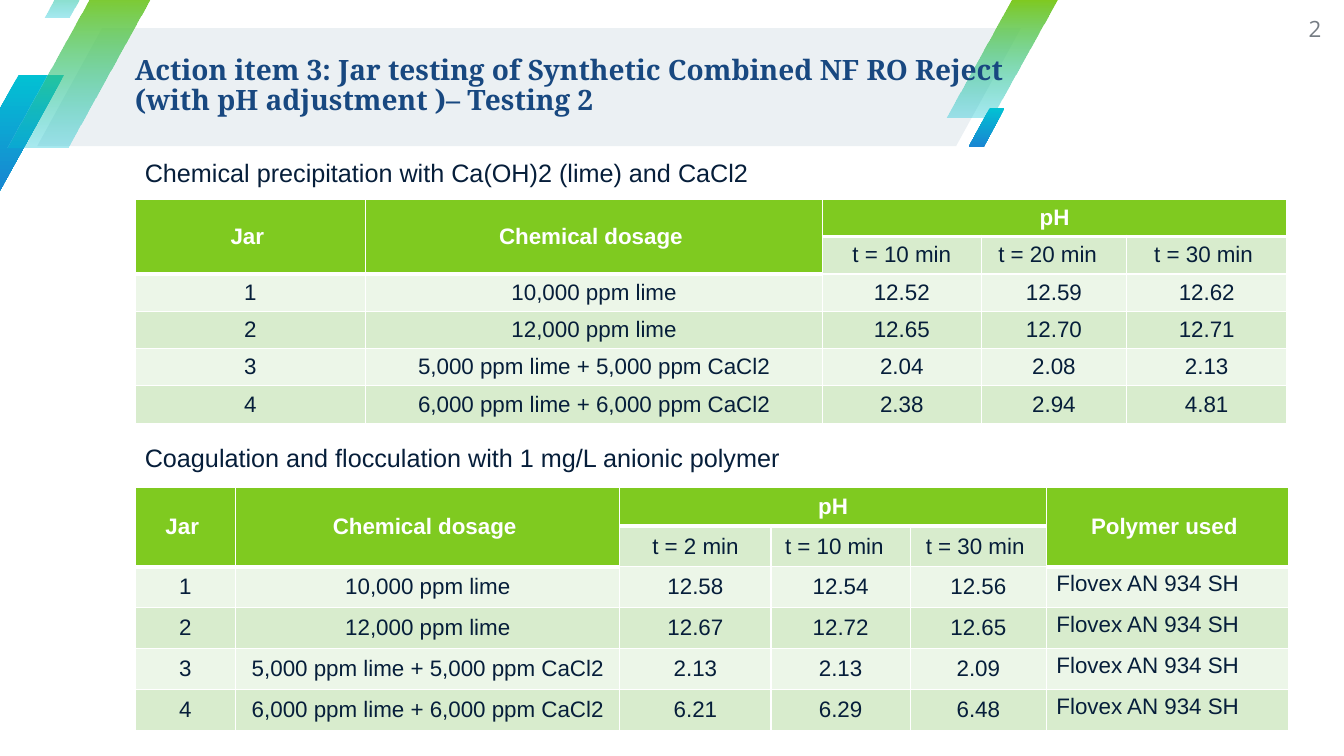
from lxml.etree import SubElement as Sub
from pptx import Presentation
from pptx.dml.color import RGBColor
from pptx.enum.shapes import MSO_SHAPE as Shape
from pptx.enum.text import MSO_ANCHOR as Anchor, PP_ALIGN as Align
from pptx.oxml.ns import qn
from pptx.util import Cm, Pt

GREEN = RGBColor(0x7F, 0xCA, 0x20)
CYAN = RGBColor(0x02, 0xC1, 0xD3)
BLUE = RGBColor(0x19, 0x85, 0xD2)
PALE = RGBColor(0xEB, 0xF0, 0xF3)
NAVY = RGBColor(0x18, 0x48, 0x80)
INK = RGBColor(0x06, 0x1E, 0x3A)
GRAY = RGBColor(0x75, 0x7C, 0x83)
WHITE = RGBColor(0xFF, 0xFF, 0xFF)
DARK = RGBColor(0xD8, 0xEC, 0xCD)
LIGHT = RGBColor(0xEC, 0xF6, 0xE8)

TITLE = "Action item 3: Jar testing of Synthetic Combined NF RO Reject (with pH adjustment )– Testing 2"
PAGE = "2"
LEFT = 3.4
PAD = 0.16
INSET = 0.25

BANDS = [
    (0.94, 0.71, 24.79, 2.97, 0.55, (PALE,)),
    (-1.17, 1.88, 2.79, 2.97, 0.59, (CYAN, BLUE)),
    (23.85, 0, 2.79, 2.97, 0.59, (GREEN, CYAN)),
    (0.2, -0.25, 3.71, 3.96, 0.59, (GREEN, CYAN)),
    (1.12, -1.22, 1.55, 1.65, 0.59, (GREEN, CYAN)),
    (24.41, 2.72, 0.91, 0.99, 0.59, (CYAN, BLUE)),
]

DOSES = [
    "10,000 ppm lime",
    "12,000 ppm lime",
    "5,000 ppm lime + 5,000 ppm CaCl2",
    "6,000 ppm lime + 6,000 ppm CaCl2",
]
POLYMER = "Flovex AN 934 SH"

TESTS = [
    dict(
        label="Chemical precipitation with Ca(OH)2 (lime) and CaCl2",
        label_top=3.84, top=5.03, first=0.9, rest=0.94,
        cols=[(5.82, "Jar", None, 1), (11.5, "Chemical dosage", None, 1),
              (4.01, "pH", "t = 10 min", 0), (3.66, "", "t = 20 min", 2),
              (4.04, "", "t = 30 min", 1)],
        values=[("12.52", "12.59", "12.62"), ("12.65", "12.70", "12.71"),
                ("2.04", "2.08", "2.13"), ("2.38", "2.94", "4.81")],
    ),
    dict(
        label="Coagulation and flocculation with 1 mg/L anionic polymer",
        label_top=11.02, top=12.27, first=0.98, rest=1.03,
        cols=[(2.54, "Jar", None, 1), (9.68, "Chemical dosage", None, 1),
              (3.81, "pH", "t = 2 min", 0), (3.51, "", "t = 10 min", 2),
              (3.43, "", "t = 30 min", 1), (6.1, "Polymer used", None, 1)],
        values=[("12.58", "12.54", "12.56", POLYMER), ("12.67", "12.72", "12.65", POLYMER),
                ("2.13", "2.13", "2.09", POLYMER), ("6.21", "6.29", "6.48", POLYMER)],
    ),
]


def write(frame, text, font="Arial", size=16, color=INK, bold=False, align=Align.LEFT, space=None):
    para = frame.paragraphs[0]
    para.alignment = align
    para.line_spacing = space
    run = para.add_run()
    run.text = text
    run.font.name = font
    run.font.size = Pt(size)
    run.font.bold = bold
    run.font.color.rgb = color


def add_box(slide, left, top, width, height, inset=True):
    box = slide.shapes.add_textbox(Cm(left), Cm(top), Cm(width), Cm(height))
    frame = box.text_frame
    frame.word_wrap = True
    if not inset:
        frame.margin_left = frame.margin_right = frame.margin_top = frame.margin_bottom = 0
        frame.vertical_anchor = Anchor.MIDDLE
    return frame


def add_band(slide, left, top, width, height, slant, colors):
    band = slide.shapes.add_shape(Shape.PARALLELOGRAM, Cm(left), Cm(top), Cm(width), Cm(height))
    band.adjustments[0] = slant
    band.shadow.inherit = False
    band.line.fill.background()
    if len(colors) == 1:
        band.fill.solid()
        band.fill.fore_color.rgb = colors[0]
        return
    band.fill.gradient()
    band.fill.gradient_angle = 270
    for stop, color in zip(band.fill.gradient_stops, colors):
        stop.color.rgb = color
    if colors[1] == CYAN:
        tint = band._element.spPr.findall(".//" + qn("a:srgbClr"))[-1]
        Sub(tint, qn("a:alpha"), val="34000")


def paint(cell, color, thick=""):
    props = cell._tc.get_or_add_tcPr()
    for side in "LRTB":
        line = Sub(props, qn("a:ln" + side), w=str(Pt(3 if side in thick else 1)))
        Sub(Sub(line, qn("a:solidFill")), qn("a:srgbClr"), val=str(WHITE))
    cell.fill.solid()
    cell.fill.fore_color.rgb = color
    cell.vertical_anchor = Anchor.MIDDLE


def add_test(slide, test):
    cols, values = test["cols"], test["values"]
    count = len(values) + 2
    write(add_box(slide, LEFT, test["label_top"], 20, 1.02), test["label"], size=18)
    width = sum(col[0] for col in cols)
    height = test["first"] + test["rest"] * (count - 1)
    table = slide.shapes.add_table(count, len(cols), Cm(LEFT), Cm(test["top"]),
                                   Cm(width), Cm(height)).table
    table.first_row = table.horz_banding = False
    for r, row in enumerate(table.rows):
        row.height = Cm(test["rest"] if r else test["first"])

    for c, (wide, head, sub, steps) in enumerate(cols):
        table.columns[c].width = Cm(wide)
        top, low = table.cell(0, c), table.cell(1, c)
        paint(top, GREEN, "B")
        paint(low, DARK if sub else GREEN, "T" if sub else "B")
        if head:
            write(top.text_frame, head, color=WHITE, bold=True, align=Align.CENTER)
        if sub:
            write(low.text_frame, sub, align=Align.CENTER)
        else:
            top.merge(low)
        (low if sub else top).margin_right = Cm(INSET + PAD * steps)
    table.cell(0, 2).merge(table.cell(0, 4))

    for r, (dose, vals) in enumerate(zip(DOSES, values)):
        for c, text in enumerate((str(r + 1), dose, *vals)):
            cell = table.cell(r + 2, c)
            paint(cell, DARK if r % 2 else LIGHT, "T" if r == 0 and not cols[c][2] else "")
            write(cell.text_frame, text, align=Align.LEFT if c == 5 else Align.CENTER)
            if c == 5:
                cell.vertical_anchor = Anchor.TOP


def main():
    deck = Presentation()
    deck.slide_width, deck.slide_height = Cm(33.87), Cm(19.05)
    slide = deck.slides.add_slide(deck.slide_layouts[6])
    for band in BANDS:
        add_band(slide, *band)
    write(add_box(slide, LEFT, 0.66, 22.33, 3.02, inset=False), TITLE,
          font="Noto Serif", size=20, color=NAVY, bold=True, space=0.9)
    write(add_box(slide, 31.7, 0, 1.6, 1.45, inset=False), PAGE,
          font="Open Sans", color=GRAY, align=Align.RIGHT)
    for test in TESTS:
        add_test(slide, test)
    deck.save("out.pptx")


if __name__ == "__main__":
    main()
